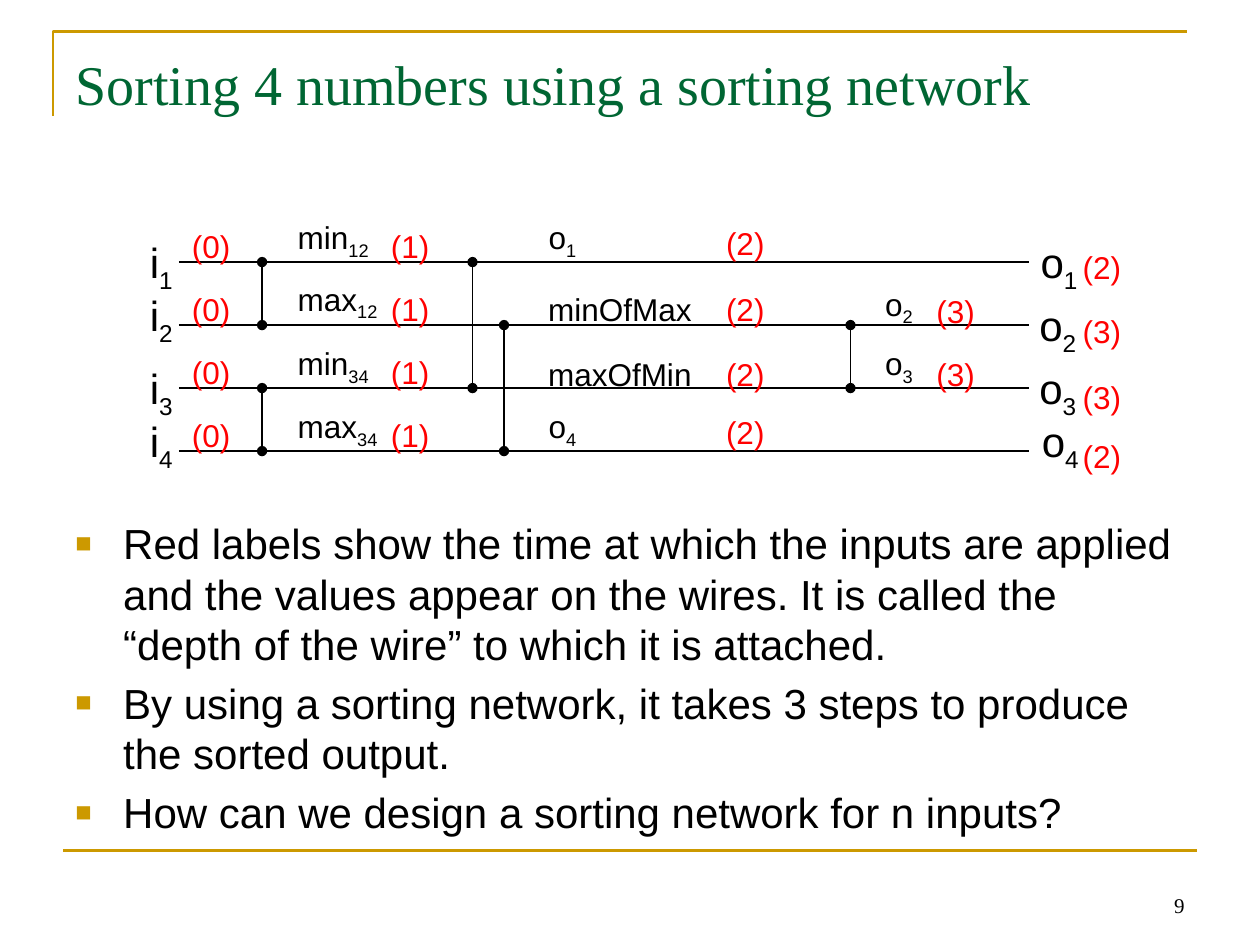
from lxml.etree import SubElement
from pptx import Presentation
from pptx.dml.color import RGBColor
from pptx.enum.shapes import MSO_CONNECTOR as Connector
from pptx.enum.text import MSO_ANCHOR as Anchor, MSO_AUTO_SIZE as AutoSize, PP_ALIGN as Align
from pptx.oxml.ns import qn
from pptx.util import Inches, Pt

GOLD, GREEN, RED, BLACK = "CC9900", "006633", "FF0101", "000000"
SERIF, SANS = "Times New Roman", "Arial"
WIRE_YS = [2.08, 2.58, 3.08, 3.58]
COMPARATORS = [(2.08, 0, 1), (2.08, 2, 3), (3.75, 0, 2), (4, 1, 3), (6.75, 1, 2)]
INPUT_YS = [1.83, 2.25, 2.83, 3.25]
OUTPUT_SPOTS = [(8.15, 1.83), (8.14, 2.33), (8.14, 2.83), (8.16, 3.25)]
VALUES = [
    (2.25, 1.68, 0.79, "min", "12"), (2.25, 2.17, 0.86, "max", "12"),
    (2.25, 2.68, 0.79, "min", "34"), (2.25, 3.18, 0.86, "max", "34"),
    (4.25, 1.68, 0.43, "o", "1"), (4.25, 2.25, 1.34, "minOfMax", ""),
    (4.25, 2.77, 1.34, "maxOfMin", ""), (4.25, 3.18, 0.43, "o", "4"),
    (6.92, 2.21, 0.43, "o", "2"), (6.92, 2.68, 0.43, "o", "3"),
]
DEPTHS = [
    (1.42, [(1.75, 0), (2.25, 0), (2.75, 0), (3.25, 0)]),
    (3, [(1.75, 1), (2.25, 1), (2.75, 1), (3.25, 1)]),
    (5.66, [(1.73, 2), (2.25, 2), (2.77, 2), (3.23, 2)]),
    (7.33, [(2.27, 3), (2.77, 3)]),
    (8.49, [(1.92, 2), (2.43, 3), (2.95, 3), (3.42, 2)]),
]
POINTS = [
    "Red labels show the time at which the inputs are applied and the values appear on "
    "the wires. It is called the “depth of the wire” to which it is attached.",
    "By using a sorting network, it takes 3 steps to produce the sorted output.",
    "How can we design a sorting network for n inputs?",
]


def rgb(code):
    """Turn a hex string into a colour."""
    return RGBColor.from_string(code)


def add_bullet(paragraph):
    """Give a paragraph a hanging gold square."""
    props = paragraph._p.get_or_add_pPr()
    props.set("marL", str(Inches(0.38)))
    props.set("indent", str(-Inches(0.38)))
    colour = SubElement(props, qn("a:buClr"))
    SubElement(colour, qn("a:srgbClr")).set("val", GOLD)
    SubElement(props, qn("a:buSzPct")).set("val", "65000")
    SubElement(props, qn("a:buFont")).set("typeface", SANS)
    SubElement(props, qn("a:buChar")).set("char", "■")


def add_text(slide, text, left, top, width, height, size=18, font=SANS, color=BLACK,
             align=Align.LEFT, anchor=Anchor.TOP, wrap=True, sub="", bullets=False,
             spacing=None):
    """Add a text box with one paragraph per line and an optional subscript."""
    box = slide.shapes.add_textbox(Inches(left), Inches(top), Inches(width), Inches(height))
    frame = box.text_frame
    frame.word_wrap = wrap
    frame.auto_size = AutoSize.NONE if wrap else AutoSize.SHAPE_TO_FIT_TEXT
    frame.vertical_anchor = anchor
    for index, line in enumerate(text.split("\n")):
        paragraph = frame.add_paragraph() if index else frame.paragraphs[0]
        if bullets:
            add_bullet(paragraph)
        paragraph.alignment = align
        paragraph.line_spacing = spacing
        if index:
            paragraph.space_before = Pt(size * 0.2)
        for part, shift in ((line, None), (sub, "-25000")):
            if not part:
                continue
            run = paragraph.add_run()
            run.text = part
            run.font.size, run.font.name = Pt(size), font
            run.font.color.rgb = rgb(color)
            if shift:
                run._r.get_or_add_rPr().set("baseline", shift)


def add_label(slide, text, left, top, width, height=0.4, **style):
    """Add a centred label that does not wrap."""
    add_text(slide, text, left, top, width, height, align=Align.CENTER, wrap=False, **style)


def add_line(slide, start, end, color=BLACK, weight=0.75, dots=False):
    """Add a straight line, with round ends if asked."""
    line = slide.shapes.add_connector(Connector.STRAIGHT, *map(Inches, start + end))
    line.line.color.rgb = rgb(color)
    line.line.width = Pt(weight)
    if dots:
        outline = line.line._get_or_add_ln()
        for tag in ("a:headEnd", "a:tailEnd"):
            SubElement(outline, qn(tag)).set("type", "oval")
    SubElement(line._element.spPr, qn("a:effectLst"))


def add_corner_rule(slide):
    """Draw the rule that runs beside and above the title."""
    builder = slide.shapes.build_freeform(Inches(0.42), Inches(0.92))
    builder.add_line_segments(
        [(Inches(0.42), Inches(0.25)), (Inches(9.42), Inches(0.25))], close=False)
    rule = builder.convert_to_shape()
    rule.shadow.inherit = False
    rule.fill.background()
    rule.line.color.rgb = rgb(GOLD)
    rule.line.width = Pt(1.5)


def add_network(slide):
    """Draw the wires, the comparators and all their labels."""
    for y in WIRE_YS:
        add_line(slide, (1.42, y), (8.17, y))
    for x, upper, lower in COMPARATORS:
        add_line(slide, (x, WIRE_YS[upper]), (x, WIRE_YS[lower]), dots=True)
    for number, y in enumerate(INPUT_YS, 1):
        add_label(slide, "i", 1.08, y, 0.4, 0.5, size=24, sub=str(number))
    for number, (x, y) in enumerate(OUTPUT_SPOTS, 1):
        add_label(slide, "o", x, y, 0.51, 0.5, size=24, sub=str(number))
    for x, y, width, name, sub in VALUES:
        add_label(slide, name, x, y, width, sub=sub)
    for x, column in DEPTHS:
        for y, depth in column:
            add_label(slide, f"({depth})", x, y, 0.51, color=RED)


def main():
    """Build the slide and save it."""
    deck = Presentation()
    deck.slide_width, deck.slide_height = Inches(10), Inches(7.5)
    slide = deck.slides.add_slide(deck.slide_layouts[6])
    add_corner_rule(slide)
    add_line(slide, (0.5, 6.75), (9.5, 6.75), color=GOLD, weight=1.5)
    add_text(slide, "9", 7.17, 6.83, 2.33, 0.5, size=12, font=SERIF,
             align=Align.RIGHT, anchor=Anchor.BOTTOM)
    add_text(slide, "Sorting 4 numbers using a sorting network", 0.5, 0.34, 9, 1.21,
             size=32, font=SERIF, color=GREEN)
    add_text(slide, "\n".join(POINTS), 0.5, 4.06, 9, 2.6, size=24, bullets=True,
             spacing=Pt(28.8))
    add_network(slide)
    deck.save("out.pptx")


if __name__ == "__main__":
    main()
